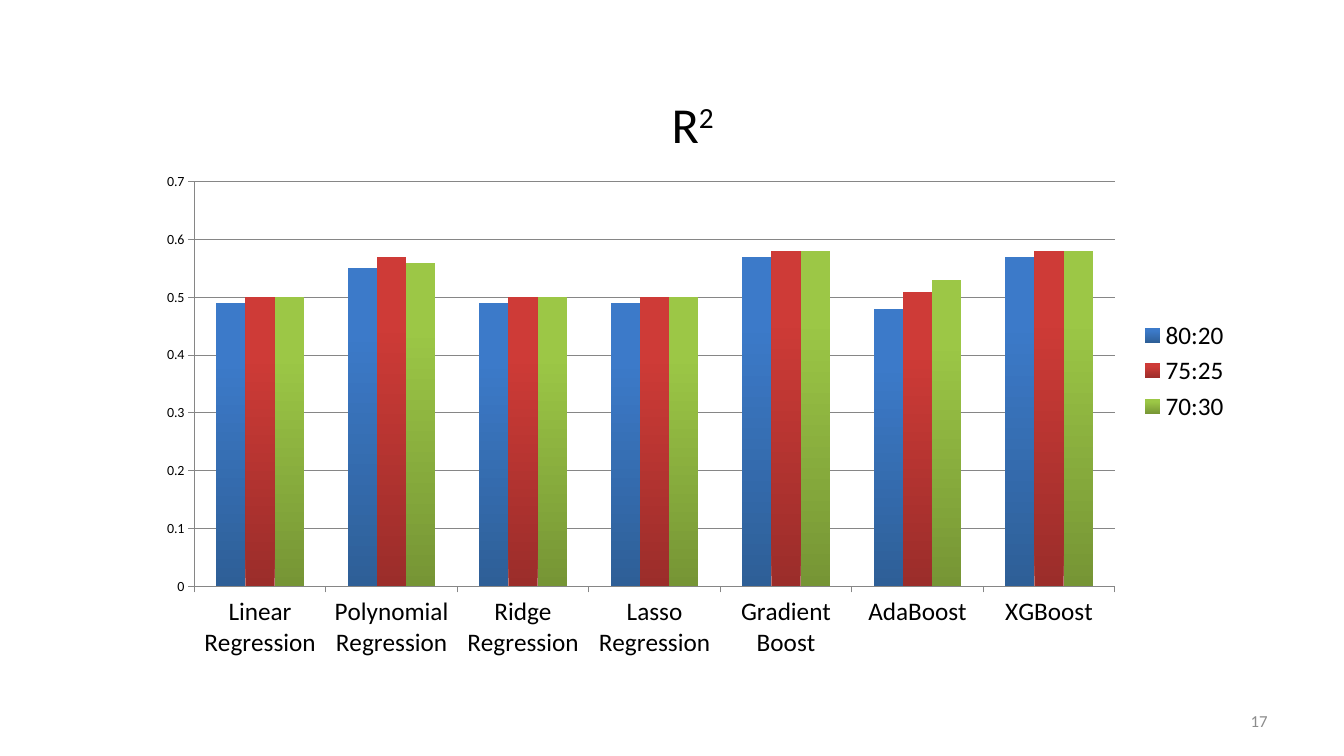
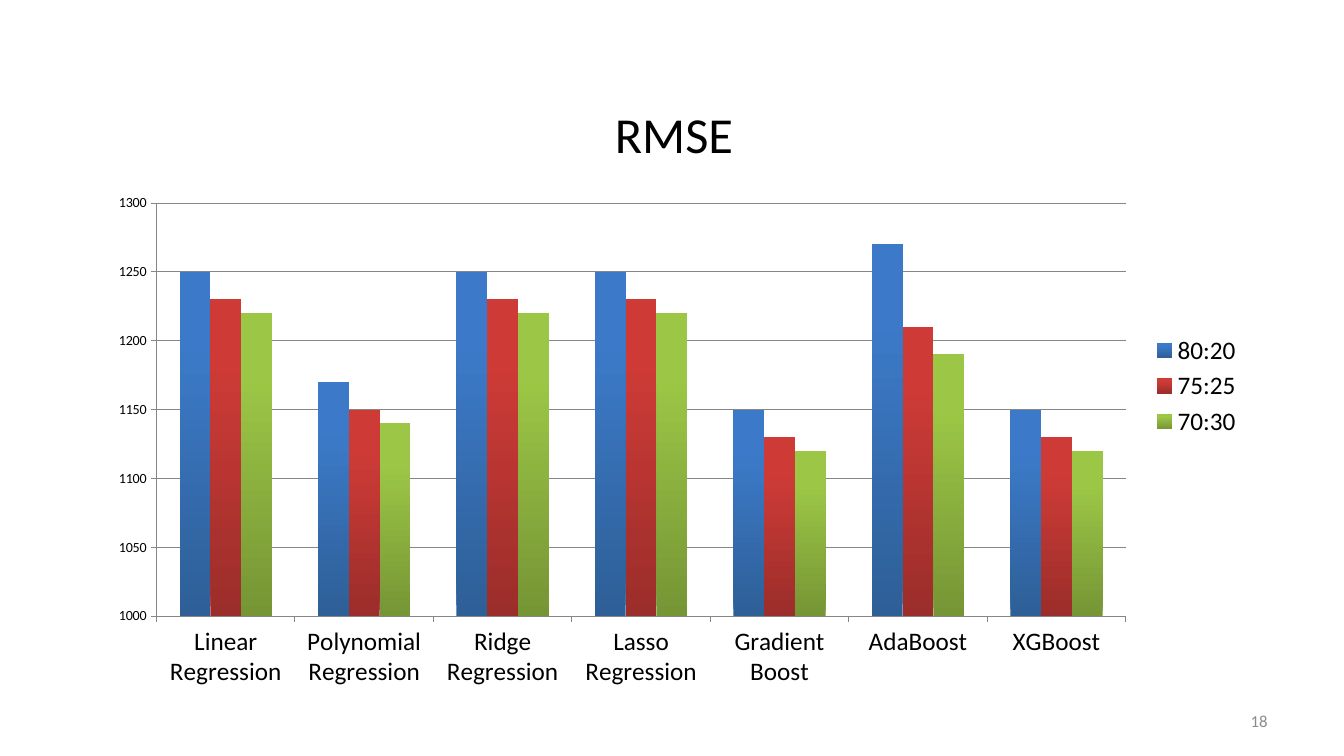
"""Build two slides that compare regression models by R squared and RMSE."""
from dataclasses import dataclass
from typing import Any, Optional

import pptx
import pptx.chart.axis
import pptx.chart.chart
import pptx.chart.data
import pptx.dml.color
import pptx.dml.line
import pptx.enum.chart
import pptx.enum.text
import pptx.presentation
import pptx.slide
import pptx.util

Inches = pptx.util.Inches
Pt = pptx.util.Pt


@dataclass(frozen=True)
class Theme:
    """Font, type sizes and colours of the deck."""
    font: str = "Calibri"
    title_size: int = 36
    label_size: int = 18
    number_size: int = 12
    value_size: int = 10
    text: str = "000000"
    muted: str = "8C8C8C"
    grid: str = "868686"
    # Bottom and top colour of the bars, one pair for each series
    bars: tuple[tuple[str, str], ...] = (
        ("2E5F97", "3C7AC9"), ("9B2D2A", "CE3B37"), ("769535", "9CC746"))


@dataclass(frozen=True)
class Scale:
    """Range and step of a value axis."""
    low: float
    high: float
    step: float


@dataclass(frozen=True)
class MetricSlide:
    """One metric: its page number, heading, place, scale and values."""
    number: int
    heading: str
    superscript: Optional[str]
    place: tuple[float, float, float, float]
    scale: Scale
    values: tuple[tuple[float, ...], ...]


THEME = Theme()
MODELS = ("Linear Regression", "Polynomial Regression", "Ridge Regression",
          "Lasso Regression", "Gradient Boost", "AdaBoost", "XGBoost")
SPLITS = ("80:20", "75:25", "70:30")
NUMBER_PLACE = (9.56, 6.95, 3.11, 0.4)

METRICS = (
    MetricSlide(
        17, "R", "2", (1.44, 0.72, 10.86, 5.92), Scale(0, 0.7, 0.1),
        ((0.49, 0.55, 0.49, 0.49, 0.57, 0.48, 0.57),
         (0.5, 0.57, 0.5, 0.5, 0.58, 0.51, 0.58),
         (0.5, 0.56, 0.5, 0.5, 0.58, 0.53, 0.58))),
    MetricSlide(
        18, "RMSE", None, (0.95, 0.72, 11.47, 6.22), Scale(1000, 1300, 50),
        ((1250, 1170, 1250, 1250, 1150, 1270, 1150),
         (1230, 1150, 1230, 1230, 1130, 1210, 1130),
         (1220, 1140, 1220, 1220, 1120, 1190, 1120))),
)


def apply_format(target: Any, values: dict[str, Any]) -> None:
    """Set every named attribute of the target."""
    for name, value in values.items():
        setattr(target, name, value)


def rgb(code: str) -> pptx.dml.color.RGBColor:
    """Return the colour for a hexadecimal code."""
    return pptx.dml.color.RGBColor.from_string(code)


def style_font(font: Any, size: int, color: str = THEME.text) -> None:
    """Give a font the deck's face, a size and a colour."""
    apply_format(font, {"name": THEME.font, "size": Pt(size), "bold": False})
    font.color.rgb = rgb(color)


def style_line(line: pptx.dml.line.LineFormat) -> None:
    """Draw a thin grey line."""
    line.color.rgb = rgb(THEME.grid)
    line.width = Pt(0.75)


def add_page_number(page: pptx.slide.Slide, number: int) -> None:
    """Write the page number at the lower right."""
    box = page.shapes.add_textbox(*map(Inches, NUMBER_PLACE))
    apply_format(box.text_frame, {
        "word_wrap": True,
        "vertical_anchor": pptx.enum.text.MSO_ANCHOR.MIDDLE})
    para = box.text_frame.paragraphs[0]
    para.alignment = pptx.enum.text.PP_ALIGN.RIGHT
    span = para.add_run()
    span.text = str(number)
    style_font(span.font, THEME.number_size, THEME.muted)


def add_heading(chart: pptx.chart.chart.Chart, metric: MetricSlide) -> None:
    """Write the chart title, with its superscript if it has one."""
    chart.has_title = True
    chart.chart_title.include_in_layout = False
    para = chart.chart_title.text_frame.paragraphs[0]
    for text in filter(None, (metric.heading, metric.superscript)):
        span = para.add_run()
        span.text = text
        style_font(span.font, THEME.title_size)
    if metric.superscript:
        properties = chart.element.xpath("c:chart/c:title//a:r[2]/a:rPr")[0]
        properties.set("baseline", "30000")


def style_axes(chart: pptx.chart.chart.Chart, scale: Scale) -> None:
    """Set the scale, ticks, grid and labels of both axes."""
    sizes = ((chart.category_axis, THEME.label_size),
             (chart.value_axis, THEME.value_size))
    for axis, size in sizes:
        apply_format(axis, {
            "major_tick_mark": pptx.enum.chart.XL_TICK_MARK.OUTSIDE,
            "minor_tick_mark": pptx.enum.chart.XL_TICK_MARK.NONE})
        style_font(axis.tick_labels.font, size)
        style_line(axis.format.line)
    apply_format(chart.value_axis, {
        "minimum_scale": scale.low, "maximum_scale": scale.high,
        "major_unit": scale.step, "has_major_gridlines": True})
    style_line(chart.value_axis.major_gridlines.format.line)


def style_bars(chart: pptx.chart.chart.Chart) -> None:
    """Shade each series from a dark foot to a bright top."""
    plot = chart.plots[0]
    apply_format(plot, {"gap_width": 150, "vary_by_categories": False})
    for series, colors in zip(plot.series, THEME.bars):
        series.invert_if_negative = False
        fill = series.format.fill
        fill.gradient()
        fill.gradient_angle = 90
        for stop, color, position in zip(fill.gradient_stops, colors, (0, 0.8)):
            stop.color.rgb = rgb(color)
            stop.position = position


def add_metric_chart(page: pptx.slide.Slide, metric: MetricSlide) -> None:
    """Add the column chart of one metric."""
    data = pptx.chart.data.CategoryChartData()
    data.categories = MODELS
    for split, values in zip(SPLITS, metric.values):
        data.add_series(split, values)
    frame = page.shapes.add_chart(
        pptx.enum.chart.XL_CHART_TYPE.COLUMN_CLUSTERED,
        *map(Inches, metric.place), data)
    chart = frame.chart
    style_font(chart.font, THEME.value_size)
    add_heading(chart, metric)
    style_axes(chart, metric.scale)
    style_bars(chart)
    chart.has_legend = True
    apply_format(chart.legend, {
        "position": pptx.enum.chart.XL_LEGEND_POSITION.RIGHT,
        "include_in_layout": False})
    style_font(chart.legend.font, THEME.label_size)


def build_deck() -> pptx.presentation.Presentation:
    """Build one slide for each metric."""
    deck = pptx.Presentation()
    apply_format(deck, {"slide_width": Inches(13.33),
                        "slide_height": Inches(7.5)})
    blank = deck.slide_layouts.get_by_name("Blank")
    for metric in METRICS:
        page = deck.slides.add_slide(blank)
        add_page_number(page, metric.number)
        add_metric_chart(page, metric)
    return deck


build_deck().save("out.pptx")
